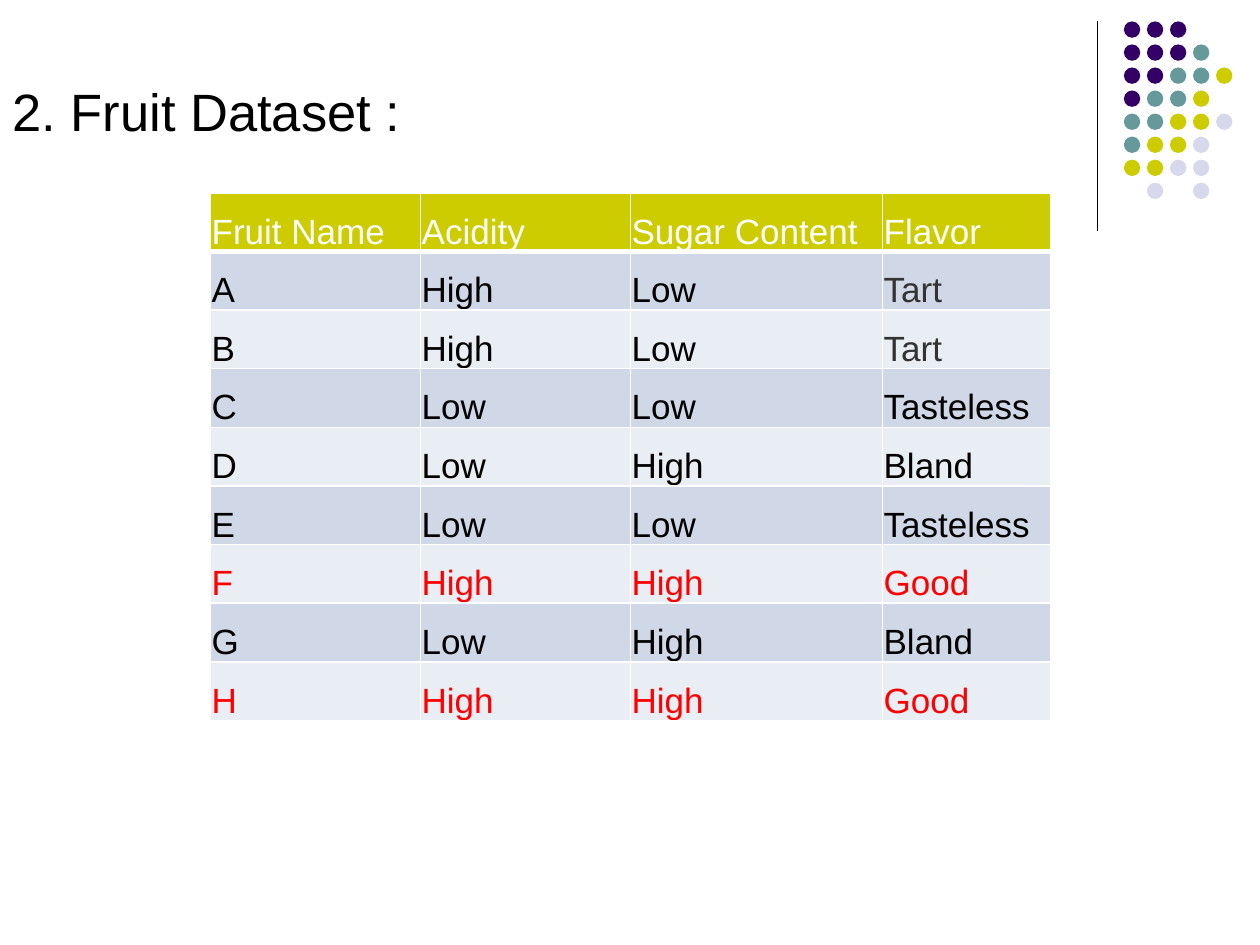
from dataclasses import dataclass

from lxml import etree
from pptx import Presentation
from pptx import util as u
from pptx.dml.color import RGBColor
from pptx.enum import shapes, text
from pptx.oxml import ns

BLACK = RGBColor(0x00, 0x00, 0x00)
WHITE = RGBColor(0xFF, 0xFF, 0xFF)
GREY = RGBColor(0x33, 0x33, 0x33)
RED = RGBColor(0xFF, 0x00, 0x00)
PURPLE = RGBColor(0x33, 0x00, 0x66)
TEAL = RGBColor(0x66, 0x99, 0x99)
LIME = RGBColor(0xCC, 0xCC, 0x00)
LAVENDER = RGBColor(0xD8, 0xD8, 0xEC)
BAND_DARK = RGBColor(0xD0, 0xD8, 0xE8)
BAND_LIGHT = RGBColor(0xE9, 0xED, 0xF4)

FONT = "Arial"
SLIDE_WIDTH, SLIDE_HEIGHT = u.Inches(10), u.Inches(7.5)

DOT_COLORS = {"P": PURPLE, "T": TEAL, "L": LIME, "V": LAVENDER}
DOT_ROWS = ("PPP", "PPPT", "PPTTL", "PTTL", "TTLLV", "TLLV", "LLVV", " V V")
DOT_LEFT, DOT_TOP = 8.92, 0.17
DOT_SIZE, DOT_PITCH = 0.13, 1.28 / 7

COLUMN_SHARES = (1 / 6, 1 / 6, 1 / 5, 2 / 15)
TABLE_LEFT, TABLE_TOP = u.Inches(1.67), u.Inches(1.53)
TABLE_HEIGHT = u.Inches(4.19)
HEADINGS = ("Fruit Name", "Acidity", "Sugar Content", "Flavor")


@dataclass(frozen=True)
class Fruit:
    """One row of the dataset."""
    name: str
    acidity: str
    sugar: str
    flavor: str

    def values(self) -> tuple[str, ...]:
        """Return the row's texts in column order."""
        return self.name, self.acidity, self.sugar, self.flavor

    def colors(self) -> tuple[RGBColor, ...]:
        """Return the row's text colours in column order."""
        base = RED if self.flavor == "Good" else BLACK
        return base, base, base, GREY if self.flavor == "Tart" else base


FRUITS = (
    Fruit("A", "High", "Low", "Tart"),
    Fruit("B", "High", "Low", "Tart"),
    Fruit("C", "Low", "Low", "Tasteless"),
    Fruit("D", "Low", "High", "Bland"),
    Fruit("E", "Low", "Low", "Tasteless"),
    Fruit("F", "High", "High", "Good"),
    Fruit("G", "Low", "High", "Bland"),
    Fruit("H", "High", "High", "Good"),
)


def style_runs(para, size: float, color: RGBColor) -> None:
    """Give every run of a paragraph the slide's font."""
    for span in para.runs:
        span.font.name = FONT
        span.font.size = u.Pt(size)
        span.font.color.rgb = color


def set_title(page, wording: str) -> None:
    """Fill and place the title."""
    title = page.shapes.title
    title.left, title.top = 0, u.Inches(0.58)
    title.width, title.height = u.Inches(9), u.Inches(6.12)
    frame = title.text_frame
    frame.text = wording
    frame.word_wrap = True
    frame.auto_size = text.MSO_AUTO_SIZE.NONE
    frame.vertical_anchor = text.MSO_ANCHOR.TOP
    para = frame.paragraphs[0]
    para.alignment = text.PP_ALIGN.LEFT
    para.space_before = u.Pt(3.6)
    para.line_spacing = 1.0
    style_runs(para, 30, BLACK)


def add_rule(page) -> None:
    """Draw the vertical line beside the dots."""
    x = u.Inches(8.71)
    rule = page.shapes.add_connector(
        shapes.MSO_CONNECTOR.STRAIGHT, x, u.Inches(0.17), x, u.Inches(1.83))
    rule.line.color.rgb = BLACK
    rule.line.width = u.Pt(0.75)
    etree.SubElement(rule._element.spPr, ns.qn("a:effectLst"))


def add_dots(page) -> None:
    """Draw the grid of coloured dots as one group."""
    group = page.shapes.add_group_shape()
    for row, pattern in enumerate(DOT_ROWS):
        for column, key in enumerate(pattern):
            if key not in DOT_COLORS:
                continue
            dot = group.shapes.add_shape(
                shapes.MSO_SHAPE.OVAL,
                u.Inches(DOT_LEFT + column * DOT_PITCH),
                u.Inches(DOT_TOP + row * DOT_PITCH),
                u.Inches(DOT_SIZE), u.Inches(DOT_SIZE))
            dot.shadow.inherit = False
            dot.fill.solid()
            dot.fill.fore_color.rgb = DOT_COLORS[key]
            dot.line.fill.background()


def set_borders(cell, top: float, bottom: float) -> None:
    """Give a cell white borders, with widths in points."""
    properties = cell._tc.get_or_add_tcPr()
    for side, width in (("L", 1), ("R", 1), ("T", top), ("B", bottom)):
        edge = etree.SubElement(
            properties, ns.qn(f"a:ln{side}"), w=str(u.Pt(width)))
        fill = etree.SubElement(edge, ns.qn("a:solidFill"))
        etree.SubElement(fill, ns.qn("a:srgbClr"), val=str(WHITE))


def format_cell(cell, wording: str, color: RGBColor, fill: RGBColor) -> None:
    """Write a cell's text and set its look."""
    cell.text = wording
    cell.vertical_anchor = text.MSO_ANCHOR.BOTTOM
    cell.margin_left = cell.margin_right = cell.margin_top = u.Inches(0.01)
    cell.margin_bottom = 0
    cell.fill.solid()
    cell.fill.fore_color.rgb = fill
    style_runs(cell.text_frame.paragraphs[0], 20, color)


def add_fruit_table(page) -> None:
    """Draw the heading row and one banded row per fruit."""
    rows = [(HEADINGS, (WHITE,) * len(HEADINGS))]
    rows += [(fruit.values(), fruit.colors()) for fruit in FRUITS]
    widths = [round(SLIDE_WIDTH * share) for share in COLUMN_SHARES]
    table = page.shapes.add_table(
        len(rows), len(widths), TABLE_LEFT, TABLE_TOP,
        sum(widths), TABLE_HEIGHT).table
    for column, width in zip(table.columns, widths):
        column.width = width
    for index, (wordings, colors) in enumerate(rows):
        if index == 0:
            fill = LIME
        else:
            fill = BAND_DARK if index % 2 else BAND_LIGHT
        for column, (wording, color) in enumerate(zip(wordings, colors)):
            cell = table.cell(index, column)
            set_borders(cell, top=3 if index == 1 else 1,
                        bottom=3 if index == 0 else 1)
            format_cell(cell, wording, color, fill)


def main() -> None:
    """Build and save the slide."""
    deck = Presentation()
    deck.slide_width, deck.slide_height = SLIDE_WIDTH, SLIDE_HEIGHT
    page = deck.slides.add_slide(deck.slide_layouts.get_by_name("Title Only"))
    set_title(page, "2. Fruit Dataset :")
    add_rule(page)
    add_dots(page)
    add_fruit_table(page)
    deck.save("out.pptx")


main()
